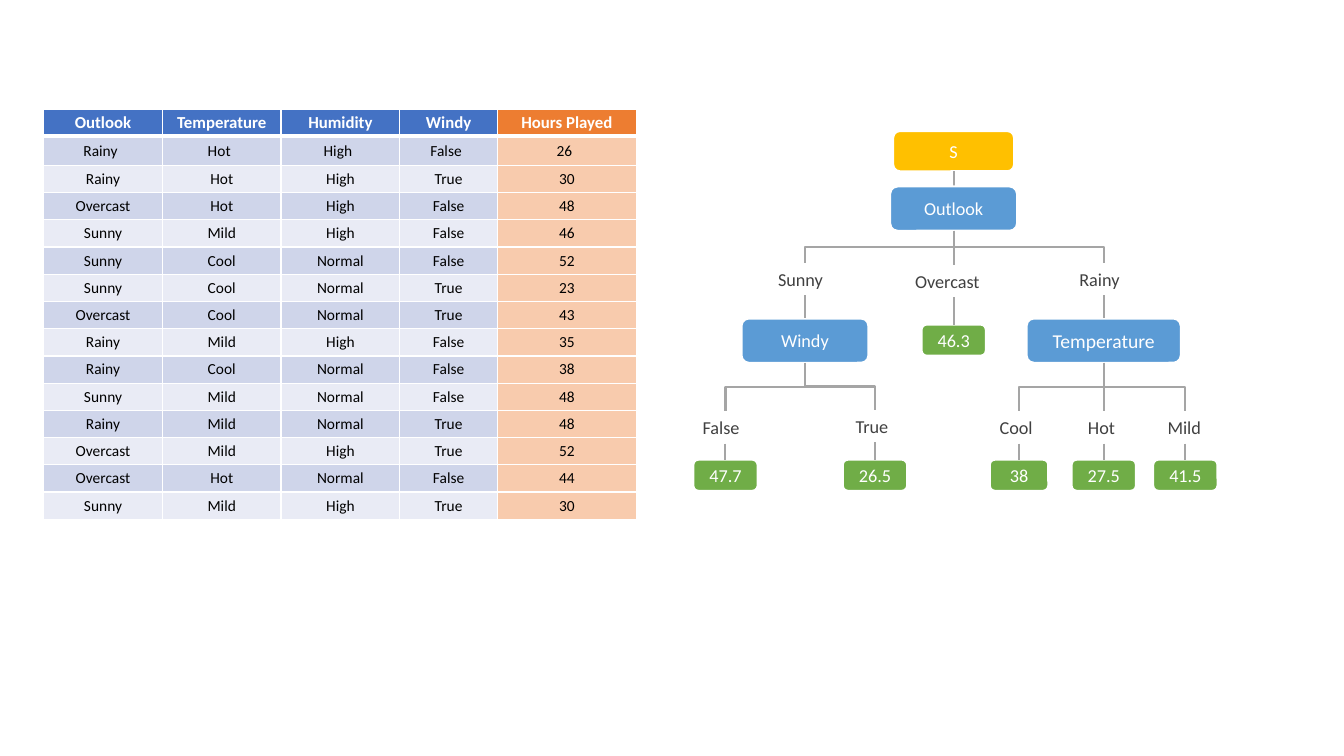
import dataclasses
import pptx
import pptx.util
import pptx.dml.color
import pptx.enum.shapes
import pptx.enum.text
import pptx.oxml
import pptx.oxml.ns
import lxml.etree

Pt = pptx.util.Pt
qn = pptx.oxml.ns.qn
SHAPES = pptx.enum.shapes.MSO_SHAPE
CONNECTORS = pptx.enum.shapes.MSO_CONNECTOR
CENTER = pptx.enum.text.PP_ALIGN.CENTER
MIDDLE = pptx.enum.text.MSO_ANCHOR.MIDDLE


@dataclasses.dataclass(frozen=True)
class Theme:
    font: str = "Calibri"
    white: str = "FFFFFF"
    black: str = "000000"
    label: str = "404040"
    line: str = "A5A5A5"
    root: str = "FFC000"
    decision: str = "5B9BD5"
    leaf: str = "70AD47"
    header: str = "4472C4"
    target_header: str = "ED7D31"
    bands: tuple = ("CFD5EA", "E9EBF5")
    target: str = "F8CBAD"
    body_size: float = 11
    header_size: float = 12
    node_size: float = 13
    large_size: float = 14
    line_width: float = 1.5


def rgb(color):
    return pptx.dml.color.RGBColor.from_string(color)


class Canvas:
    def __init__(self, slide, theme):
        self.slide = slide
        self.theme = theme

    def add_text(self, text_frame, text, size, color, bold=False, align=None):
        paragraph = text_frame.paragraphs[0]
        paragraph.alignment = align
        run = paragraph.add_run()
        run.text = text
        run.font.name = self.theme.font
        run.font.size = Pt(size)
        run.font.bold = bold
        run.font.color.rgb = rgb(color)

    def node(self, text, center, top, width, height, fill, size=None):
        shape = self.slide.shapes.add_shape(
            SHAPES.ROUNDED_RECTANGLE, Pt(center - width / 2), Pt(top), Pt(width), Pt(height))
        shape.shadow.inherit = False
        shape.fill.solid()
        shape.fill.fore_color.rgb = rgb(fill)
        shape.line.color.rgb = rgb(self.theme.white)
        shape.line.width = Pt(self.theme.line_width)
        shape.text_frame.vertical_anchor = MIDDLE
        self.add_text(shape.text_frame, text, size or self.theme.node_size,
                      self.theme.white, align=CENTER)

    def label(self, text, center, top, width, height):
        box = self.slide.shapes.add_textbox(
            Pt(center - width / 2), Pt(top), Pt(width), Pt(height))
        box.text_frame.word_wrap = False
        box.text_frame.auto_size = pptx.enum.text.MSO_AUTO_SIZE.SHAPE_TO_FIT_TEXT
        self.add_text(box.text_frame, text, self.theme.node_size, self.theme.label)

    def link(self, start_x, start_y, end_x, end_y):
        kind, rotation = CONNECTORS.STRAIGHT, 0
        ends = (start_x, start_y, end_x, end_y)
        if start_x != end_x:
            kind = CONNECTORS.ELBOW
            rotation = 90 if end_x < start_x else 270
            middle_x, middle_y = (start_x + end_x) / 2, (start_y + end_y) / 2
            half_x = abs(end_x - start_x) / 2
            half_y = (end_y - start_y) / 2 * (1 if end_x < start_x else -1)
            ends = (middle_x - half_y, middle_y - half_x, middle_x + half_y, middle_y + half_x)
        connector = self.slide.shapes.add_connector(kind, *map(Pt, ends))
        connector.line.color.rgb = rgb(self.theme.line)
        connector.line.width = Pt(self.theme.line_width)
        properties = connector._element.spPr
        if rotation:
            properties.find(qn("a:xfrm")).set("rot", str(rotation * 60000))
        lxml.etree.SubElement(properties, qn("a:effectLst"))

    def cell(self, cell, text, fill, size, color, bold, margins, bottom_width):
        cell.vertical_anchor = MIDDLE
        cell.margin_left, cell.margin_top, cell.margin_right, cell.margin_bottom = map(Pt, margins)
        cell.fill.solid()
        cell.fill.fore_color.rgb = rgb(fill)
        self.add_text(cell.text_frame, text, size, color, bold, CENTER)
        properties = cell._tc.get_or_add_tcPr()
        for index, side in enumerate(("lnL", "lnR", "lnT", "lnB")):
            width = bottom_width if side == "lnB" else 1
            border = lxml.etree.Element(qn(f"a:{side}"), w=str(Pt(width)))
            solid = lxml.etree.SubElement(border, qn("a:solidFill"))
            lxml.etree.SubElement(solid, qn("a:srgbClr"), val=self.theme.white)
            properties.insert(index, border)

    def table(self, left, top, widths, row_height, header, rows):
        theme = self.theme
        count = len(rows) + 1
        table = self.slide.shapes.add_table(
            count, len(widths), Pt(left), Pt(top), Pt(sum(widths)), Pt(row_height * count)).table
        for column, width in zip(table.columns, widths):
            column.width = Pt(width)
        for row in table.rows:
            row.height = Pt(row_height)
        last = len(widths) - 1
        for index, values in enumerate([header, *rows]):
            margins = (3.6, 3.6, 7.2, 3.6) if index == 1 else (5, 2.2, 5, 2.2)
            for column, value in enumerate(values):
                if index == 0:
                    fill = theme.target_header if column == last else theme.header
                    style = (theme.header_size, theme.white, True)
                else:
                    fill = theme.target if column == last else theme.bands[(index - 1) % 2]
                    style = (theme.body_size, theme.black, False)
                self.cell(table.cell(index, column), value, fill, *style,
                          margins, 3 if index == 0 else 1)


theme = Theme()
presentation = pptx.Presentation()
presentation.slide_width, presentation.slide_height = Pt(960), Pt(540)
canvas = Canvas(presentation.slides.add_slide(presentation.slide_layouts[6]), theme)

WEATHER = """Rainy Hot High False 26
Rainy Hot High True 30
Overcast Hot High False 48
Sunny Mild High False 46
Sunny Cool Normal False 52
Sunny Cool Normal True 23
Overcast Cool Normal True 43
Rainy Mild High False 35
Rainy Cool Normal False 38
Sunny Mild Normal False 48
Rainy Mild Normal True 48
Overcast Mild High True 52
Overcast Hot Normal False 44
Sunny Mild High True 30"""
canvas.table(31.2, 77.9, [84.8, 84.8, 84.8, 69.8, 99.2], 19.45,
             ["Outlook", "Temperature", "Humidity", "Windy", "Hours Played"],
             [line.split() for line in WEATHER.splitlines()])

ROOT_X, SUNNY_X, RAINY_X = 681.2, 575, 788.4
LABEL_HEIGHT, DECISION_HEIGHT, LEAF_HEIGHT = 23, 31.7, 22.3
OUTLOOK_TOP, DECISION_TOP, LEAF_TOP = 133.2, 227.5, 328.3

canvas.node("S", ROOT_X, 93.6, 86.4, 28.8, theme.root)
canvas.link(ROOT_X, 122.4, ROOT_X, OUTLOOK_TOP)
canvas.node("Outlook", ROOT_X, OUTLOOK_TOP, 90.7, DECISION_HEIGHT, theme.decision)

DECISIONS = [("Windy", SUNNY_X, 90.7, theme.node_size),
             ("Temperature", RAINY_X, 110.2, theme.large_size)]
for text, center, width, size in DECISIONS:
    canvas.node(text, center, DECISION_TOP, width, DECISION_HEIGHT, theme.decision, size)

LEAVES = [("46.3", ROOT_X, 231.8, 46), ("47.7", 518.2, LEAF_TOP, 46),
          ("26.5", 625, LEAF_TOP, 46), ("38", 727.9, LEAF_TOP, 41.8),
          ("27.5", RAINY_X, LEAF_TOP, 46), ("41.5", 846.7, LEAF_TOP, 46)]
for text, center, top, width in LEAVES:
    canvas.node(text, center, top, width, LEAF_HEIGHT, theme.leaf)

BRANCHES = [
    (ROOT_X, OUTLOOK_TOP, [("Sunny", SUNNY_X, 187.9, 52.6, DECISION_TOP),
                           ("Overcast", ROOT_X, 189.4, 69.1, 231.8),
                           ("Rainy", RAINY_X, 187.9, 49, DECISION_TOP)]),
    (SUNNY_X, DECISION_TOP, [("False", 518.2, 293.8, 46.8, LEAF_TOP),
                             ("True", 625, 293, 41.8, LEAF_TOP)]),
    (RAINY_X, DECISION_TOP, [("Cool", 727.9, 293.8, 41.8, LEAF_TOP),
                             ("Hot", RAINY_X, 293.8, 36.7, LEAF_TOP),
                             ("Mild", 846.7, 293.8, 39.6, LEAF_TOP)]),
]
for parent_x, parent_top, outcomes in BRANCHES:
    for text, center, top, width, child_top in outcomes:
        canvas.link(parent_x, parent_top + DECISION_HEIGHT, center, top)
        canvas.label(text, center, top, width, LABEL_HEIGHT)
        canvas.link(center, top + LABEL_HEIGHT, center, child_top)

presentation.save("out.pptx")
